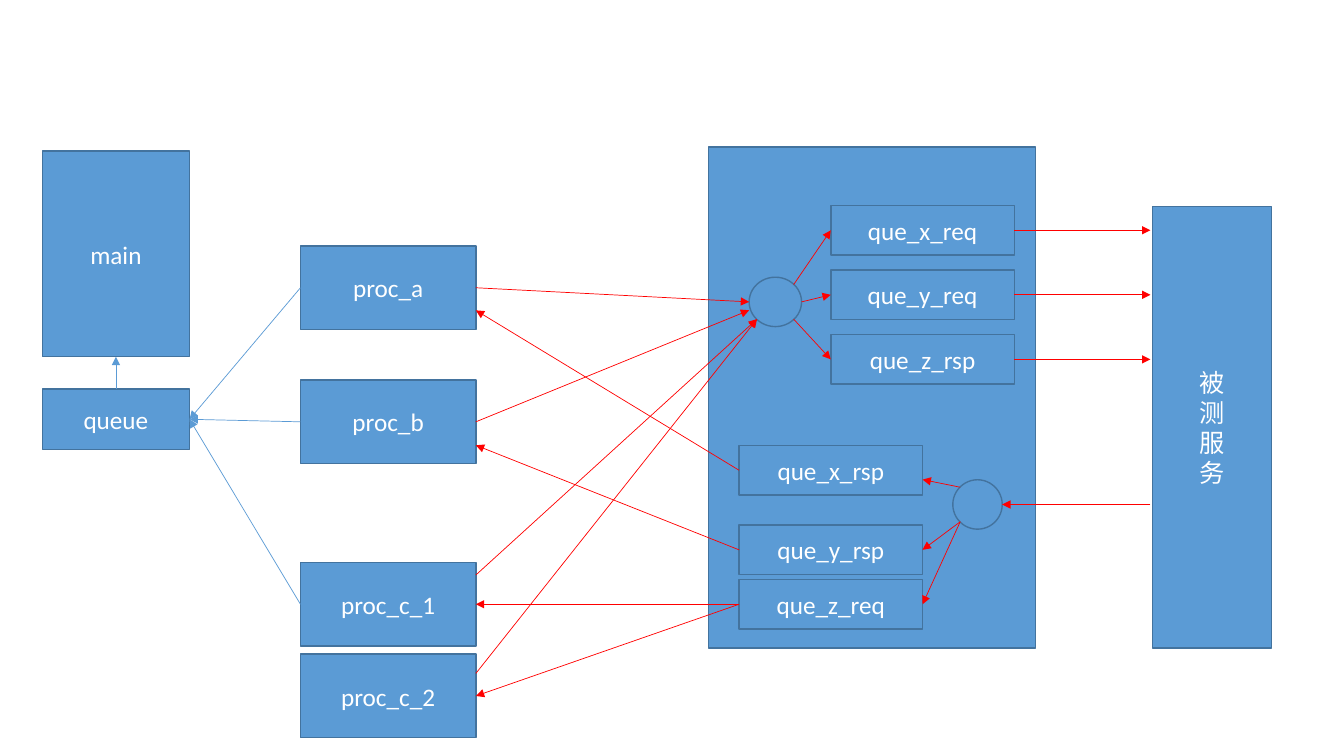
from dataclasses import dataclass

from pptx import Presentation
from pptx import util as u
from pptx.dml.color import RGBColor
from pptx.enum import shapes, text
from pptx.oxml.ns import qn
from lxml import etree


@dataclass(frozen=True)
class Theme:
    fill: RGBColor = RGBColor(0x5B, 0x9B, 0xD5)
    outline: RGBColor = RGBColor(0x43, 0x73, 0x9E)
    label: RGBColor = RGBColor(0xFF, 0xFF, 0xFF)
    message: RGBColor = RGBColor(0xFF, 0x00, 0x00)
    font: str = "Calibri"
    size: u.Pt = u.Pt(18)
    outline_width: u.Pt = u.Pt(1)
    arrow_width: u.Pt = u.Pt(0.5)


THEME = Theme()
RECT = shapes.MSO_SHAPE.RECTANGLE
OVAL = shapes.MSO_SHAPE.OVAL
LEFT, RIGHT = (0, 0.5), (1, 0.5)
TOP, BOTTOM = (0.5, 0), (0.5, 1)


def add_node(slide, box, lines=(), kind=RECT):
    """Add a filled shape with one centred paragraph per line."""
    sp = slide.shapes.add_shape(kind, *map(u.Inches, box))
    sp.shadow.inherit = False
    sp.fill.solid()
    sp.fill.fore_color.rgb = THEME.fill
    sp.line.color.rgb = THEME.outline
    sp.line.width = THEME.outline_width
    tf = sp.text_frame
    tf.word_wrap = True
    tf.vertical_anchor = text.MSO_ANCHOR.MIDDLE
    for i, line in enumerate(lines):
        p = tf.add_paragraph() if i else tf.paragraphs[0]
        p.alignment = text.PP_ALIGN.CENTER
        r = p.add_run()
        r.text = line
        r.font.name = THEME.font
        r.font.size = THEME.size
        r.font.color.rgb = THEME.label
    return sp


def at(sp, spot):
    """Return the point at a fraction of the shape's width and height."""
    fx, fy = spot
    return sp.left + int(sp.width * fx), sp.top + int(sp.height * fy)


def add_arrow(slide, start, end, color=THEME.message):
    line = slide.shapes.add_connector(shapes.MSO_CONNECTOR.STRAIGHT, *start, *end)
    line.line.color.rgb = color
    line.line.width = THEME.arrow_width
    ln = line.line._get_or_add_ln()
    etree.SubElement(ln, qn("a:tailEnd"), type="triangle")
    etree.SubElement(line._element.spPr, qn("a:effectLst"))


def add_column(slide, left, width, height, tops):
    """Add equal boxes in one column and return them by name."""
    return {name: add_node(slide, (left, top, width, height), [name])
            for name, top in tops.items()}


def main():
    prs = Presentation()
    prs.slide_width, prs.slide_height = u.Inches(13.33), u.Inches(7.5)
    s = prs.slides.add_slide(prs.slide_layouts[6])

    add_node(s, (7.03, 1.46, 3.24, 4.97))
    add_node(s, (11.43, 2.05, 1.18, 4.38), "被测服务")
    service_edge = u.Inches(11.41)
    req_hub = add_node(s, (7.43, 2.75, 0.52, 0.49), kind=OVAL)
    rsp_hub = add_node(s, (9.45, 4.76, 0.49, 0.49), kind=OVAL)
    main_box = add_node(s, (0.42, 1.5, 1.46, 2.04), ["main"])
    queue = add_node(s, (0.42, 3.86, 1.46, 0.6), ["queue"])
    outgoing = add_column(s, 8.24, 1.82, 0.49, {
        "que_x_req": 2.04, "que_y_req": 2.68, "que_z_rsp": 3.32})
    incoming = add_column(s, 7.33, 1.82, 0.49, {
        "que_x_rsp": 4.42, "que_y_rsp": 5.21, "que_z_req": 5.75})
    procs = add_column(s, 2.98, 1.74, 0.83, {
        "proc_a": 2.44, "proc_b": 3.77, "proc_c_1": 5.58, "proc_c_2": 6.49})

    # Results collected by the main process
    add_arrow(s, at(queue, TOP), at(main_box, BOTTOM), THEME.fill)
    for name in ("proc_a", "proc_b", "proc_c_1"):
        add_arrow(s, at(procs[name], LEFT), at(queue, RIGHT), THEME.fill)

    # Processes to the outgoing hub
    for name, leave, enter in (
            ("proc_a", 0.5, (0, 0.5)), ("proc_b", 0.5, (0, 0.67)),
            ("proc_c_1", 0.15, (0.15, 0.85)), ("proc_c_2", 0.23, (0.15, 0.85))):
        add_arrow(s, at(procs[name], (1, leave)), at(req_hub, enter))

    # Outgoing hub through its queues to the service
    for que, leave in zip(outgoing.values(), ((0.85, 0.15), RIGHT, (0.85, 0.85))):
        add_arrow(s, at(req_hub, leave), at(que, LEFT))
        x, y = at(que, RIGHT)
        add_arrow(s, (x, y), (service_edge, y))

    # Service through the incoming hub to its queues
    hub_x, hub_y = at(rsp_hub, RIGHT)
    add_arrow(s, (service_edge, hub_y), (hub_x, hub_y))
    for que, leave, enter in zip(incoming.values(), (0.15, 0.85, 0.85), (0.69, 0.5, 0.5)):
        add_arrow(s, at(rsp_hub, (0.15, leave)), at(que, (1, enter)))

    # Incoming queues back to the processes
    for que, name, enter in (
            ("que_x_rsp", "proc_a", 0.77), ("que_y_rsp", "proc_b", 0.78),
            ("que_z_req", "proc_c_1", 0.5), ("que_z_req", "proc_c_2", 0.5)):
        add_arrow(s, at(incoming[que], LEFT), at(procs[name], (1, enter)))

    prs.save("out.pptx")


if __name__ == "__main__":
    main()
